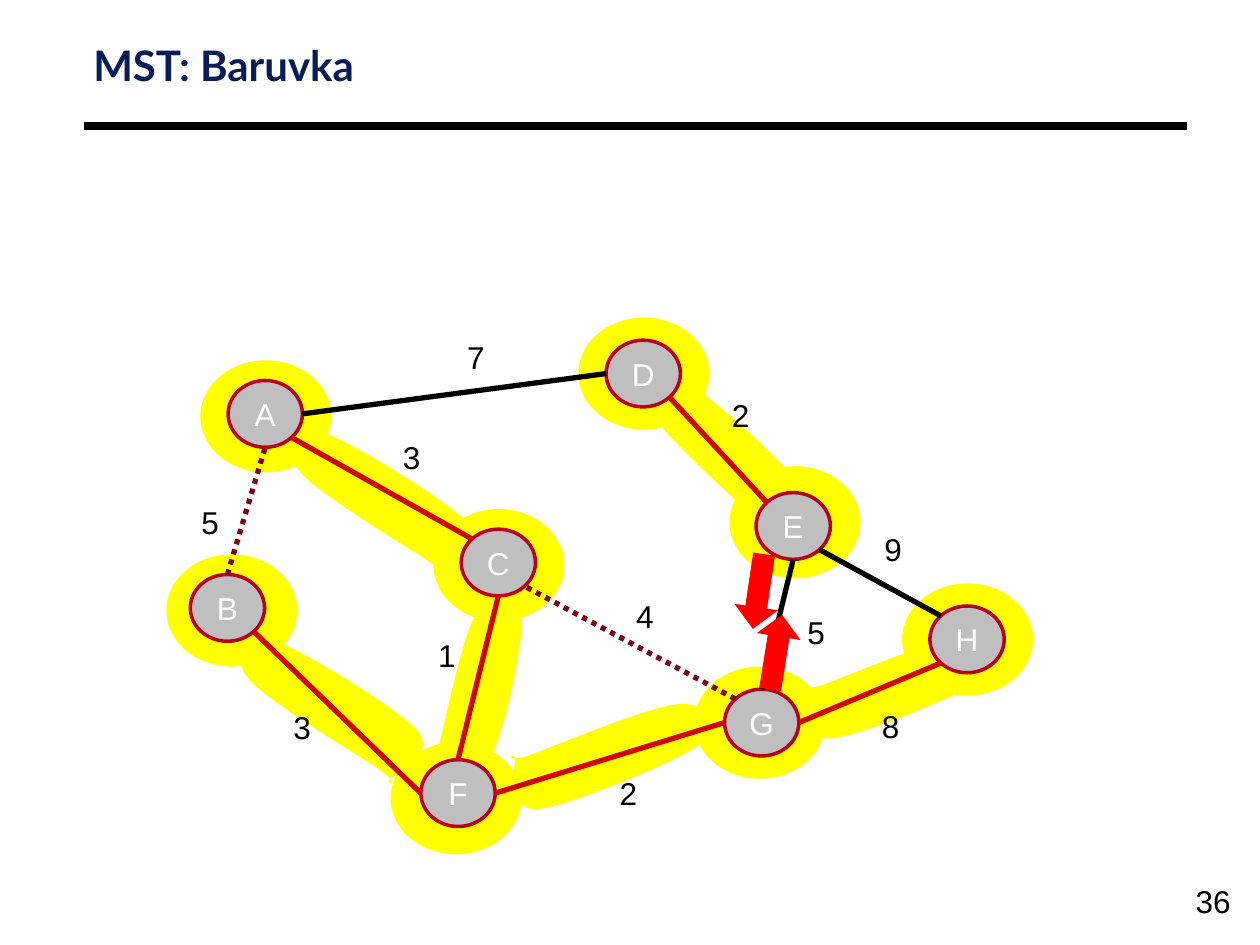
"""Build the slide that shows a Boruvka step on a weighted graph."""
import math

import lxml.etree
import pptx
import pptx.dml.color
import pptx.enum.dml
import pptx.enum.shapes
import pptx.enum.text
import pptx.oxml.ns
import pptx.util
from pptx.util import Inches

SHAPES = pptx.enum.shapes.MSO_SHAPE
ALIGN = pptx.enum.text.PP_ALIGN
ANCHOR = pptx.enum.text.MSO_ANCHOR
AUTO_SIZE = pptx.enum.text.MSO_AUTO_SIZE

COLOURS = {
    "title": "081D58", "text": "000000", "node_text": "FFFFFF",
    "node": "BFBFBF", "outline": "B9001A", "highlight": "FFFF00",
    "open": "000000", "chosen": "CF050A", "rejected": "7E0014",
    "arrow": "FF0000",
}
TITLE_FONT = {"name": "Lato", "size": pptx.util.Pt(24), "bold": True}
BODY_FONT = {"name": "Arial", "size": pptx.util.Pt(18)}
TITLE_FRAME = {
    "margin_left": Inches(0.07), "margin_right": Inches(0.07),
    "margin_top": Inches(0.03), "margin_bottom": Inches(0.03),
    "vertical_anchor": ANCHOR.TOP, "word_wrap": True,
    "auto_size": AUTO_SIZE.SHAPE_TO_FIT_TEXT,
}
NODE_FRAME = {"vertical_anchor": ANCHOR.MIDDLE, "word_wrap": True}
NUMBER_FRAME = {"word_wrap": True}
LABEL_FRAME = {"word_wrap": False, "auto_size": AUTO_SIZE.SHAPE_TO_FIT_TEXT}

NODE_SIZE = (0.59, 0.53)
HALO_SIZE = (1.04, 0.89)
LABEL_SIZE = (0.34, 0.4)
ARROW_SIZE = (0.6, 0.35)
NODES = {
    "A": (1.81, 3.02), "B": (1.51, 4.56), "C": (3.66, 4.2), "D": (4.81, 2.7),
    "E": (6, 3.91), "F": (3.34, 6.03), "G": (5.75, 5.47), "H": (7.38, 4.81),
}
HALOS = [
    (4.59, 2.52), (5.79, 3.7), (7.16, 4.63), (5.51, 5.29),
    (3.44, 4.04), (3.1, 5.89), (1.32, 4.4), (1.59, 2.86),
]
EDGES = [
    ("B", 270, "A", 90, "rejected"), ("A", 0, "D", 180, "open"),
    ("D", 45, "E", 225, "chosen"), ("C", 90, "F", 270, "chosen"),
    ("F", 0, "G", 180, "chosen"), ("C", 225, "A", 45, "chosen"),
    ("G", 270, "E", 90, "open"), ("B", 45, "F", 180, "chosen"),
    ("G", 225, "C", 45, "rejected"), ("E", 45, "H", 225, "open"),
    ("H", 135, "G", 0, "chosen"),
]
WEIGHTS = [
    ("5", 1.5, 3.94), ("3", 3.1, 3.43), ("7", 3.61, 2.63), ("2", 5.71, 3.09),
    ("1", 3.38, 5), ("3", 2.23, 5.57), ("2", 4.82, 6.09), ("4", 4.95, 4.69),
    ("5", 6.31, 4.82), ("9", 6.92, 4.16), ("8", 6.9, 5.56),
]
ARROWS = [(5.86, 5, 279.1), (5.72, 4.52, 98.5)]
BANDS = [
    (6.79, 4.57, 1.63, 57.8), (2.65, 3.18, 1.63, 291.4),
    (2.24, 4.82, 1.63, 291.4), (5.38, 2.82, 1.63, 302),
    (4.46, 5.13, 1.63, 57.8), (3.42, 4.75, 1.35, 0),
]
BAND_WIDTH = 0.72
BAND_GRID = (72, 135)
BAND_START = (7, 114)
BAND_CURVES = [
    ((12, 95), (25, 29), (36, 12)),
    ((46, -4), (70, -5), (72, 14)),
    ((74, 33), (58, 109), (47, 127)),
    ((35, 146), (9, 125), (3, 122)),
    ((-3, 120), (1, 132), BAND_START),
]


def colour(name):
    """Return the named colour."""
    return pptx.dml.color.RGBColor.from_string(COLOURS[name])


def apply_format(target, values):
    """Set each attribute in values on the target."""
    for name, value in values.items():
        setattr(target, name, value)


def write_text(shape, text, frame_format, font_format, colour_name, alignment=ALIGN.LEFT):
    """Put one formatted paragraph into a shape and return it."""
    apply_format(shape.text_frame, frame_format)
    paragraph = shape.text_frame.paragraphs[0]
    paragraph.alignment = alignment
    run = paragraph.add_run()
    run.text = text
    apply_format(run.font, font_format)
    run.font.color.rgb = colour(colour_name)
    return paragraph


def paint(shape, fill, outline=None):
    """Fill a shape and give it an outline or none."""
    shape.shadow.inherit = False
    shape.fill.solid()
    shape.fill.fore_color.rgb = colour(fill)
    if outline:
        shape.line.color.rgb = colour(outline)
        shape.line.width = pptx.util.Pt(2)
    else:
        shape.line.fill.background()


def add_preset(slide, preset, position, size, fill, outline=None):
    """Add a painted preset shape."""
    shape = slide.shapes.add_shape(preset, *map(Inches, (*position, *size)))
    paint(shape, fill, outline)
    return shape


def add_line(slide, start, end, colour_name, width):
    """Add a straight line without shadow."""
    line = slide.shapes.add_connector(
        pptx.enum.shapes.MSO_CONNECTOR.STRAIGHT, *map(Inches, (*start, *end)))
    line.line.color.rgb = colour(colour_name)
    line.line.width = pptx.util.Pt(width)
    lxml.etree.SubElement(line._element.spPr, pptx.oxml.ns.qn("a:effectLst"))
    return line


def add_text_box(slide, text, position, size, frame_format):
    """Add a text box in the body font."""
    box = slide.shapes.add_textbox(*map(Inches, (*position, *size)))
    write_text(box, text, frame_format, BODY_FONT, "text")


def add_title(slide, text):
    """Place the title and the rule below it."""
    title = slide.shapes.title
    bounds = map(Inches, (0.67, 0.34, 8.67, 0.42))
    apply_format(title, dict(zip(("left", "top", "width", "height"), bounds)))
    write_text(title, text, TITLE_FRAME, TITLE_FONT, "title").line_spacing = 0.87
    add_line(slide, (0.67, 1), (9.42, 1), "text", 4.5)


def add_path_step(path, tag, points=()):
    """Append one drawing step with its points to a path."""
    step = lxml.etree.SubElement(path, pptx.oxml.ns.qn(tag))
    for x, y in points:
        lxml.etree.SubElement(step, pptx.oxml.ns.qn("a:pt"), x=str(x), y=str(y))


def add_band(slide, left, top, height, rotation):
    """Add a rotated highlight band with a curved outline."""
    builder = slide.shapes.build_freeform(*BAND_START)
    builder.add_line_segments([curve[-1] for curve in BAND_CURVES])
    band = builder.convert_to_shape()
    path = next(band._element.iter(pptx.oxml.ns.qn("a:path")))
    path.clear()
    for name, length in zip("wh", BAND_GRID):
        path.set(name, str(length))
    add_path_step(path, "a:moveTo", [BAND_START])
    for curve in BAND_CURVES:
        add_path_step(path, "a:cubicBezTo", curve)
    add_path_step(path, "a:close")
    apply_format(band, {
        "left": Inches(left), "top": Inches(top), "width": Inches(BAND_WIDTH),
        "height": Inches(height), "rotation": rotation,
    })
    paint(band, "highlight")


def node_edge(name, angle):
    """Return the point on a node's rim at an angle clockwise from the right."""
    turn = math.radians(angle)
    return tuple(
        start + size / 2 * (1 + direction)
        for start, size, direction in zip(NODES[name], NODE_SIZE, (math.cos(turn), math.sin(turn))))


def add_edge(slide, first, first_angle, second, second_angle, state):
    """Join two nodes with a line in the style of the edge's state."""
    line = add_line(slide, node_edge(first, first_angle),
                    node_edge(second, second_angle), state, 3)
    if state == "rejected":
        line.line.dash_style = pptx.enum.dml.MSO_LINE.ROUND_DOT


def main():
    """Build and save the slide."""
    presentation = pptx.Presentation()
    presentation.slide_width, presentation.slide_height = Inches(10), Inches(7.5)
    slide = presentation.slides.add_slide(presentation.slide_layouts[5])
    add_title(slide, "MST: Baruvka")
    for band in BANDS:
        add_band(slide, *band)
    for position in HALOS:
        add_preset(slide, SHAPES.OVAL, position, HALO_SIZE, "highlight")
    add_text_box(slide, "36", (9.39, 6.95), (0.61, 0.4), NUMBER_FRAME)
    for name, position in NODES.items():
        node = add_preset(slide, SHAPES.OVAL, position, NODE_SIZE, "node", "outline")
        write_text(node, name, NODE_FRAME, BODY_FONT, "node_text", ALIGN.CENTER)
    for edge in EDGES:
        add_edge(slide, *edge)
    for weight, *position in WEIGHTS:
        add_text_box(slide, weight, position, LABEL_SIZE, LABEL_FRAME)
    for *position, rotation in ARROWS:
        add_preset(slide, SHAPES.RIGHT_ARROW, position, ARROW_SIZE, "arrow").rotation = rotation
    presentation.save("out.pptx")


if __name__ == "__main__":
    main()
